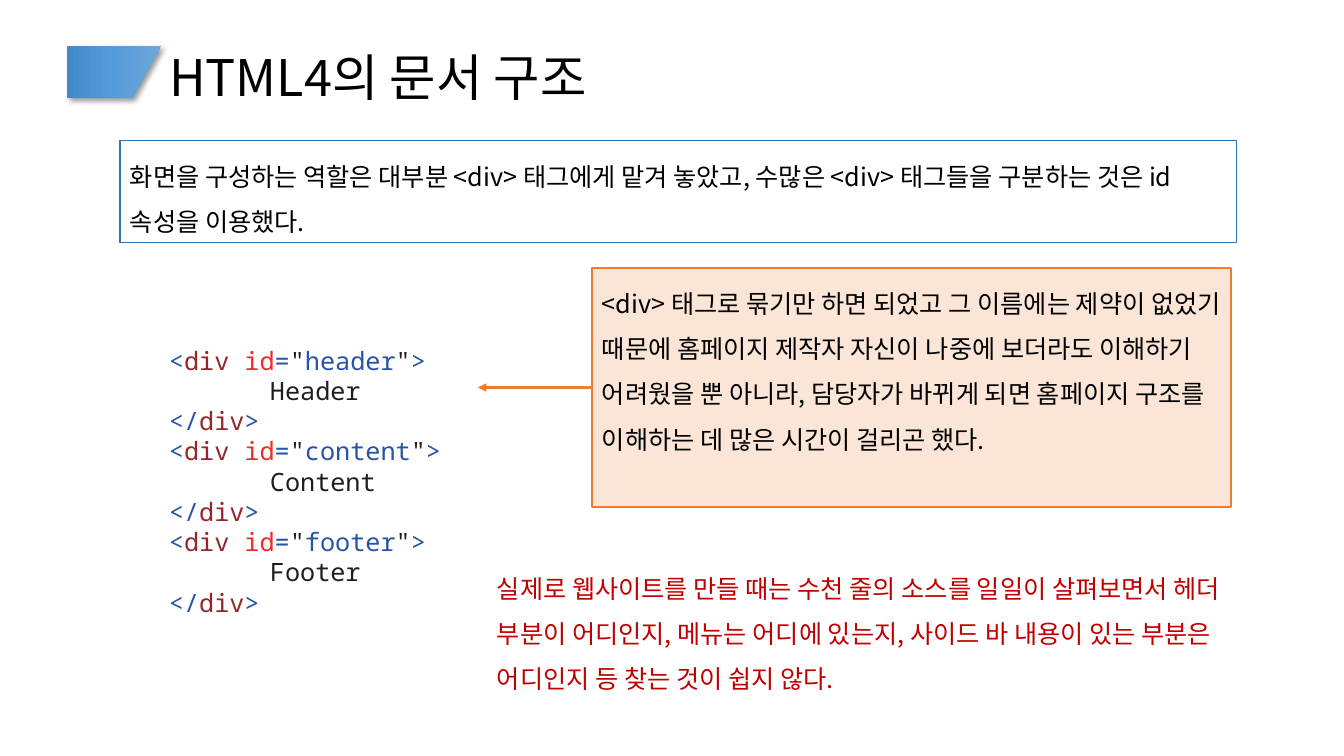
from lxml import etree
from pptx import Presentation
from pptx.dml.color import RGBColor
from pptx.enum.shapes import MSO_CONNECTOR, MSO_SHAPE
from pptx.enum.text import MSO_ANCHOR, MSO_AUTO_SIZE, PP_ALIGN
from pptx.oxml import parse_xml
from pptx.oxml.ns import nsdecls, qn
from pptx.util import Pt

LEFT = PP_ALIGN.LEFT
TOP, MIDDLE = MSO_ANCHOR.TOP, MSO_ANCHOR.MIDDLE
NO_AUTOFIT = MSO_AUTO_SIZE.NONE
RECTANGLE = MSO_SHAPE.RECTANGLE
STRAIGHT = MSO_CONNECTOR.STRAIGHT

SANS = "Noto Sans CJK KR"
MONO = "Noto Sans Mono"
COLORS = {
    "text": "000000",
    "warning": "C00000",
    "summary_line": "2E75B6",
    "accent": "ED7D31",
    "note_fill": "FBE5D6",
    "symbol": "2654A6",
    "tag": "96262A",
    "attribute": "EE2D28",
    "plain": "211D1E",
    "ribbon_dark": "448ACA",
    "ribbon_middle": "559BDB",
    "ribbon_light": "71A6DB",
}

TITLE = "HTML4의 문서 구조"
SUMMARY = ("화면을 구성하는 역할은 대부분 <div> 태그에게 맡겨 놓았고, "
           "수많은 <div> 태그들을 구분하는 것은 id 속성을 이용했다.")
NOTE = ("<div> 태그로 묶기만 하면 되었고 그 이름에는 제약이 없었기 때문에 "
        "홈페이지 제작자 자신이 나중에 보더라도 이해하기 어려웠을 뿐 아니라, "
        "담당자가 바뀌게 되면 홈페이지 구조를 이해하는 데 많은 시간이 걸리곤 했다.")
WARNING = ("실제로 웹사이트를 만들 때는 수천 줄의 소스를 일일이 살펴보면서 "
           "헤더 부분이 어디인지, 메뉴는 어디에 있는지, 사이드 바 내용이 있는 "
           "부분은 어디인지 등 찾는 것이 쉽지 않다.")
SECTIONS = ["header", "content", "footer"]


def px(length):
    return round(length * 9144 / 1.008)


def place(box):
    return [px(length) for length in box]


def color(name):
    return RGBColor.from_string(COLORS[name])


def format_run(run, size, font_name, color_name):
    run.font.size = Pt(size)
    run.font.name = font_name
    run.font.color.rgb = color(color_name)
    east_asian = etree.SubElement(run.font._element, qn("a:ea"))
    east_asian.set("typeface", font_name)


def fill_text(shape, text, color_name="text", size=18, spacing=1.5, anchor=TOP):
    text_frame = shape.text_frame
    text_frame.text = text
    text_frame.word_wrap = True
    text_frame.auto_size = NO_AUTOFIT
    text_frame.vertical_anchor = anchor
    paragraph = text_frame.paragraphs[0]
    paragraph.alignment = LEFT
    paragraph.line_spacing = spacing
    format_run(paragraph.runs[0], size, SANS, color_name)


def add_ribbon(slide, box):
    """Draw the slanted gradient mark beside the title."""
    left, top, width, height = box
    slant = 29
    builder = slide.shapes.build_freeform(px(left), px(top))
    builder.add_line_segments([
        (px(left + width), px(top)),
        (px(left + width - slant), px(top + height)),
        (px(left), px(top + height)),
    ])
    ribbon = builder.convert_to_shape()
    ribbon.line.fill.background()
    properties = ribbon._element.spPr
    stops = "".join(
        f'<a:gs pos="{position}"><a:srgbClr val="{COLORS[name]}"/></a:gs>'
        for position, name in [(0, "ribbon_dark"), (50000, "ribbon_middle"),
                               (100000, "ribbon_light")])
    properties.find(qn("a:ln")).addprevious(parse_xml(
        f'<a:gradFill {nsdecls("a")} rotWithShape="1"><a:gsLst>{stops}</a:gsLst>'
        '<a:lin ang="0" scaled="0"/></a:gradFill>'))
    properties.append(parse_xml(
        f'<a:effectLst {nsdecls("a")}>'
        f'<a:outerShdw blurRad="{Pt(4)}" dist="{Pt(3)}" dir="2700000">'
        f'<a:srgbClr val="{COLORS["text"]}"><a:alpha val="40000"/></a:srgbClr>'
        '</a:outerShdw></a:effectLst>'))


def add_title(slide, box):
    title = slide.shapes.title
    title.left, title.top, title.width, title.height = place(box)
    fill_text(title, TITLE, size=36, spacing=0.9, anchor=MIDDLE)
    title.text_frame.margin_left = px(20)


def add_panel(slide, box, text, line_name, line_width, fill_name=None):
    panel = slide.shapes.add_shape(RECTANGLE, *place(box))
    panel.shadow.inherit = False
    if fill_name:
        panel.fill.solid()
        panel.fill.fore_color.rgb = color(fill_name)
    else:
        panel.fill.background()
    panel.line.color.rgb = color(line_name)
    panel.line.width = Pt(line_width)
    fill_text(panel, text)
    return panel


def code_lines(section):
    """Return the coloured pieces of each line of one div element."""
    return [
        [("<", "symbol"), ("div ", "tag"), ("id", "attribute"), ("=", "symbol"),
         ('"', "plain"), (section, "symbol"), ('"', "plain"), (">", "symbol")],
        [("\t" + section.capitalize(), "plain")],
        [("</", "symbol"), ("div", "tag"), (">", "symbol")],
    ]


def add_code(slide, box):
    text_frame = slide.shapes.add_textbox(*place(box)).text_frame
    text_frame.word_wrap = True
    lines = [line for section in SECTIONS for line in code_lines(section)]
    for index, line in enumerate(lines):
        paragraph = text_frame.add_paragraph() if index else text_frame.paragraphs[0]
        tab_list = etree.SubElement(paragraph._p.get_or_add_pPr(), qn("a:tabLst"))
        etree.SubElement(tab_list, qn("a:tab"), pos=str(px(101)), algn="l")
        for text, color_name in line:
            run = paragraph.add_run()
            run.text = text
            format_run(run, 18, MONO, color_name)


def add_arrow(slide, panel, length):
    """Point left from the middle of the panel's left side."""
    middle = panel.top + panel.height // 2
    arrow = slide.shapes.add_connector(
        STRAIGHT, panel.left, middle, panel.left - px(length), middle)
    arrow.begin_connect(panel, 1)
    arrow.line.color.rgb = color("accent")
    arrow.line.width = Pt(1.5)
    etree.SubElement(arrow.line._get_or_add_ln(), qn("a:tailEnd"), type="triangle")
    etree.SubElement(arrow._element.spPr, qn("a:effectLst"))


def add_warning(slide, box):
    fill_text(slide.shapes.add_textbox(*place(box)), WARNING, "warning")


def main():
    presentation = Presentation()
    presentation.slide_width, presentation.slide_height = px(1344), px(756)
    slide = presentation.slides.add_slide(presentation.slide_layouts[5])
    add_ribbon(slide, (67, 46, 94, 52))
    add_title(slide, (149, 41, 1053, 78))
    add_code(slide, (159, 340, 382, 285))
    add_panel(slide, (120, 141, 1117, 102), SUMMARY, "summary_line", 0.75)
    note = add_panel(slide, (592, 268, 639, 239), NOTE, "accent", 1, "note_fill")
    add_arrow(slide, note, 114)
    add_warning(slide, (487, 553, 803, 147))
    presentation.save("out.pptx")


if __name__ == "__main__":
    main()
